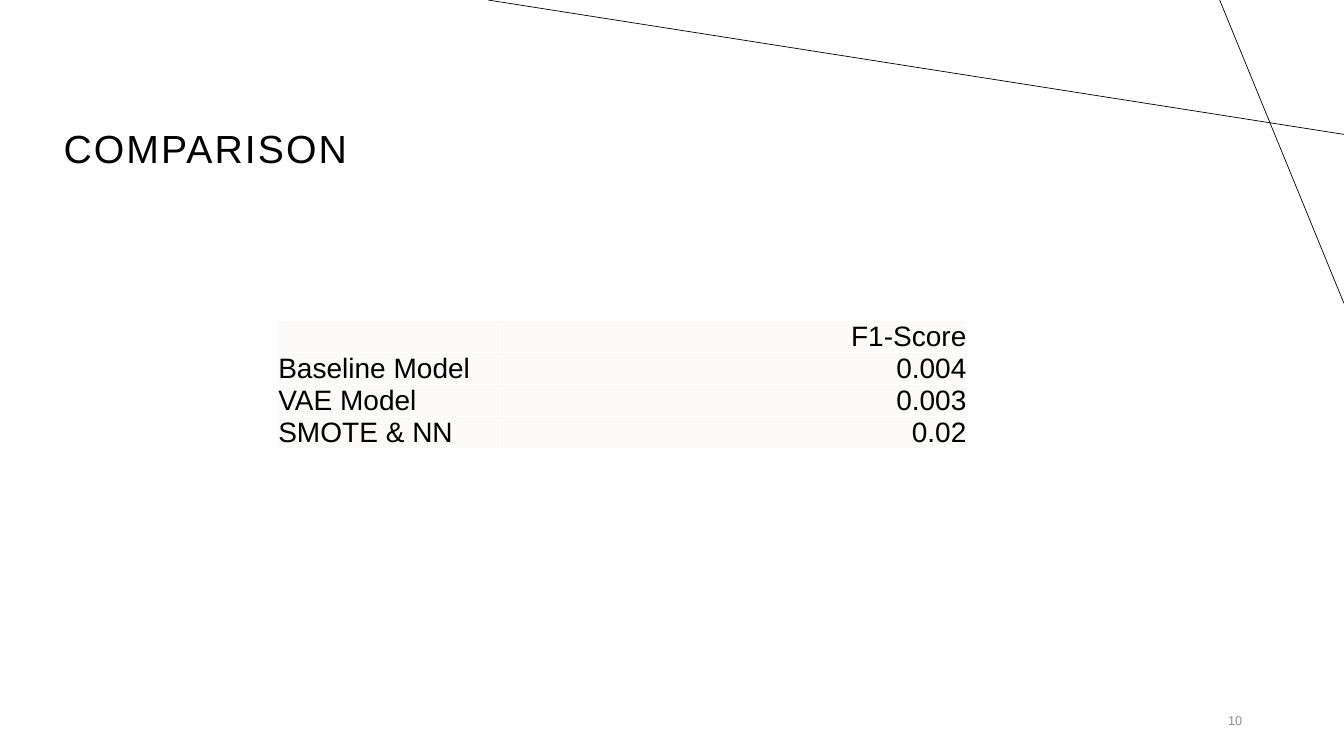
from lxml.etree import SubElement
from pptx import Presentation
from pptx.dml.color import RGBColor
from pptx.enum.shapes import MSO_CONNECTOR
from pptx.enum.text import MSO_ANCHOR, MSO_AUTO_SIZE, PP_ALIGN
from pptx.oxml.ns import qn
from pptx.util import Pt

TITLE = "COMPARISON"
PAGE = "10"
SCORES = [
    ("", "F1-Score"),
    ("Baseline Model", "0.004"),
    ("VAE Model", "0.003"),
    ("SMOTE & NN", "0.02"),
]
LINES = [((960, 96), (348.5, 0)), ((871.2, 0), (960, 216.7))]
COLUMNS = [159, 333.5]
ROW_HEIGHT = 22.8
TABLE_LEFT, TABLE_TOP = 198.3, 229.2
ALIGNS = [PP_ALIGN.LEFT, PP_ALIGN.RIGHT]
BLACK, WHITE, GRAY, CELL_FILL = "000000", "FFFFFF", "8C8C8C", "FBFAF9"


def paint(color_format, color):
    color_format.rgb = RGBColor.from_string(color)


def write(tf, text, size, color=BLACK, align=PP_ALIGN.LEFT,
          anchor=MSO_ANCHOR.MIDDLE, line_spacing=None, tracking=None):
    tf.word_wrap = True
    tf.vertical_anchor = anchor
    p = tf.paragraphs[0]
    p.alignment = align
    p.line_spacing = line_spacing
    p.font.size = Pt(size)
    r = p.add_run()
    r.text = text
    r.font.size = Pt(size)
    r.font.name = "Arial"
    paint(r.font.color, color)
    if tracking:
        r.font._element.set("spc", str(int(tracking * 100)))


def add_borders(cell):
    tc_pr = cell._tc.get_or_add_tcPr()
    for i, side in enumerate(("lnL", "lnR", "lnT", "lnB")):
        ln = tc_pr.makeelement(qn(f"a:{side}"), {"w": str(Pt(1))})
        fill = SubElement(ln, qn("a:solidFill"))
        SubElement(fill, qn("a:srgbClr"), val=WHITE)
        tc_pr.insert(i, ln)


def add_score_table(s):
    table = s.shapes.add_table(
        len(SCORES), len(COLUMNS), Pt(TABLE_LEFT), Pt(TABLE_TOP),
        Pt(sum(COLUMNS)), Pt(ROW_HEIGHT * len(SCORES))).table
    table.first_row = table.horz_banding = False
    for column, width in zip(table.columns, COLUMNS):
        column.width = Pt(width)
    for row, values in zip(table.rows, SCORES):
        row.height = Pt(ROW_HEIGHT)
        for cell, text, align in zip(row.cells, values, ALIGNS):
            cell.margin_left = cell.margin_right = cell.margin_top = Pt(0.5)
            cell.margin_bottom = 0
            cell.vertical_anchor = MSO_ANCHOR.BOTTOM
            cell.fill.solid()
            paint(cell.fill.fore_color, CELL_FILL)
            add_borders(cell)
            if text:
                write(cell.text_frame, text, 20, align=align, anchor=None)


def main():
    prs = Presentation()
    prs.slide_width, prs.slide_height = Pt(960), Pt(540)
    s = prs.slides.add_slide(prs.slide_layouts[5])

    for start, end in LINES:
        line = s.shapes.add_connector(
            MSO_CONNECTOR.STRAIGHT, *map(Pt, start + end))
        paint(line.line.color, BLACK)
        line.line.width = Pt(0.5)
        SubElement(line._element.spPr, qn("a:effectLst"))

    title = s.shapes.title
    title.left, title.top, title.width, title.height = map(
        Pt, (38.2, 48.2, 915.8, 78.5))
    title.text_frame.auto_size = MSO_AUTO_SIZE.NONE
    write(title.text_frame, TITLE, 28, anchor=MSO_ANCHOR.BOTTOM,
          line_spacing=0.9, tracking=1.5)

    add_score_table(s)

    page = s.shapes.add_textbox(*map(Pt, (816.5, 500.4, 77.8, 28.8)))
    write(page.text_frame, PAGE, 9, color=GRAY, align=PP_ALIGN.RIGHT)
    prs.save("out.pptx")


if __name__ == "__main__":
    main()
